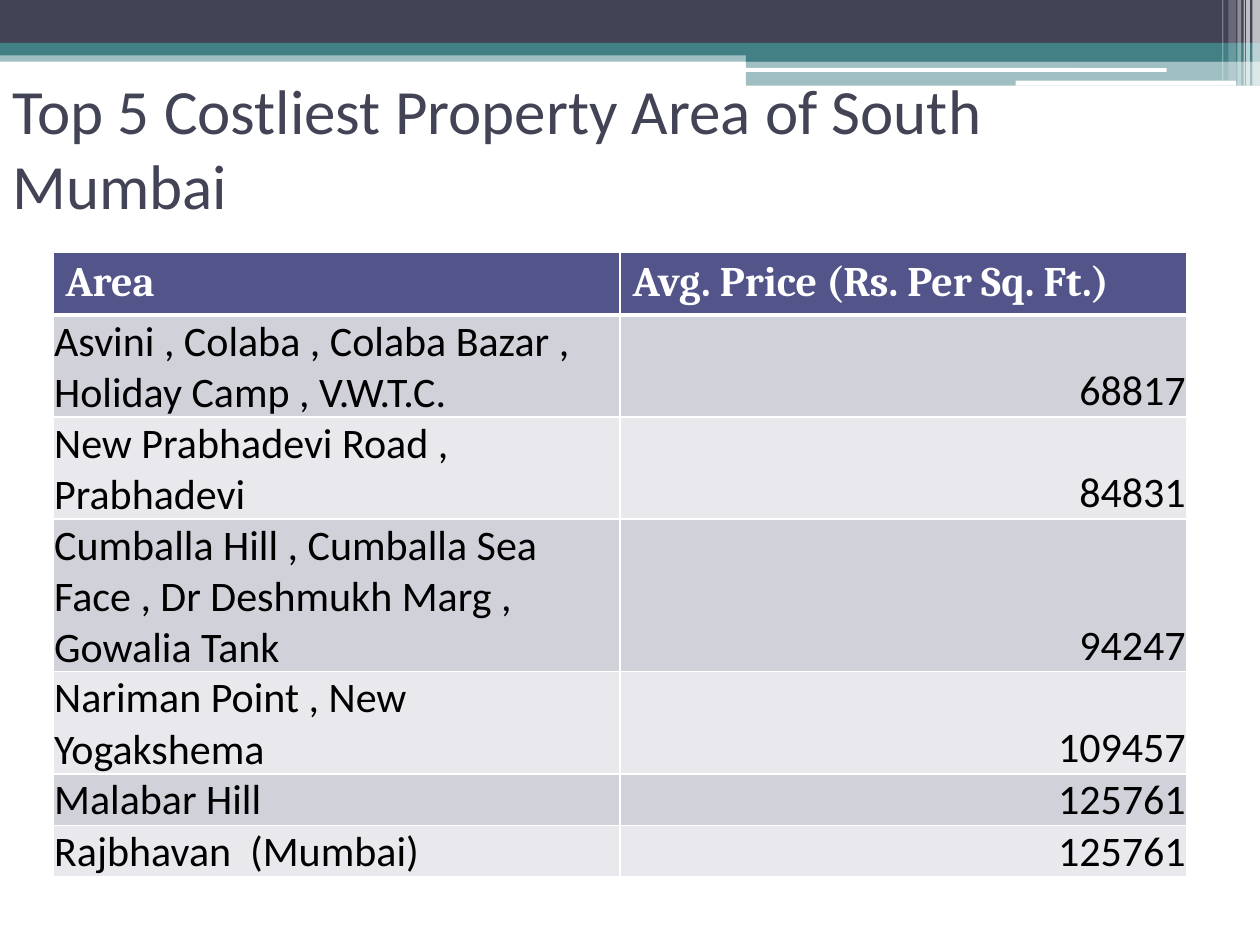
from lxml import etree
from pptx import Presentation
from pptx.dml.color import RGBColor
from pptx.enum.shapes import MSO_SHAPE
from pptx.enum.text import MSO_ANCHOR, PP_ALIGN
from pptx.oxml.ns import qn
from pptx.util import Inches, Pt

RECT, ROUND = MSO_SHAPE.RECTANGLE, MSO_SHAPE.ROUNDED_RECTANGLE
LEFT, RIGHT = PP_ALIGN.LEFT, PP_ALIGN.RIGHT
TOP, MIDDLE, BOTTOM = MSO_ANCHOR.TOP, MSO_ANCHOR.MIDDLE, MSO_ANCHOR.BOTTOM

W, H = 10, 7.5
THEME = {
    "navy": "424456", "teal": "438086", "white": "FFFFFF", "black": "000000",
    "header": "53548A", "bands": ("D1D1DA", "E9E9ED"),
    "body_font": "Calibri", "header_font": "Cambria",
    "title_size": 36, "table_size": 24, "rule": 1, "header_rule": 3,
}

TITLE = "Top 5 Costliest Property Area of South Mumbai"
HEADER = ("Area", "Avg. Price (Rs. Per Sq. Ft.) ")
PRICES = [
    ("Asvini , Colaba , Colaba Bazar , Holiday Camp , V.W.T.C. ", 68817),
    ("New Prabhadevi Road , Prabhadevi ", 84831),
    ("Cumballa Hill , Cumballa Sea Face , Dr Deshmukh Marg , Gowalia Tank ", 94247),
    ("Nariman Point , New Yogakshema ", 109457),
    ("Malabar Hill ", 125761),
    ("Rajbhavan  (Mumbai)", 125761),
]

# Banner bands: shape, left, top, right, height, colour, opacity %
BANDS = [
    (RECT, 0, 0.4, W, 0.09, "teal", 50),
    (RECT, 0, 0, W, 0.34, "navy", 100),
    (RECT, 0, 0.34, W, 0.1, "teal", 100),
    (RECT, 5.92, 0.39, W, 0.1, "teal", 100),
    (RECT, 5.92, 0.48, W, 0.2, "teal", 50),
    (ROUND, 5.91, 0.54, 9.26, 0.03, "white", 100),
    (ROUND, 8.06, 0.64, 9.81, 0.04, "white", 100),
]
# Vertical stripes at the right end: left, width, height, opacity %
STRIPES = [
    (9.94, 0.06, 0.68, 65), (9.89, 0.03, 0.68, 65), (9.87, 0.01, 0.68, 60),
    (9.82, 0.03, 0.68, 40), (9.75, 0.06, 0.64, 20), (9.7, 0.01, 0.64, 30),
]
TITLE_BOX = (0, 0.58, 0.9 * W, 1.17)
TABLE_LEFT, TABLE_TOP, TABLE_WIDTH, ROW_HEIGHT = 0.42, 2, 0.9 * W, 0.41


def rgb(name):
    """Return a theme colour, or a hex value, as an RGBColor."""
    return RGBColor.from_string(THEME.get(name, name))


def set_all(obj, values):
    """Set each attribute named in a dict."""
    for name, value in values.items():
        setattr(obj, name, value)


def add_bar(slide, kind, left, top, width, height, color, opacity):
    """Draw one borderless bar of the banner."""
    sp = slide.shapes.add_shape(kind, *map(Inches, (left, top, width, height)))
    sp.shadow.inherit = False
    sp.line.fill.background()
    sp.fill.solid()
    sp.fill.fore_color.rgb = rgb(color)
    if opacity < 100:
        clr = sp.fill._xPr.find(qn("a:solidFill"))[0]
        etree.SubElement(clr, qn("a:alpha"), val=str(opacity * 1000))


def write(tf, text, color, font, align=LEFT):
    """Put one formatted run into a text frame."""
    p = tf.paragraphs[0]
    p.alignment = align
    r = p.add_run()
    r.text = text
    set_all(r.font, font)
    r.font.color.rgb = rgb(color)


def set_borders(cell, widths):
    """Give a cell white borders; widths are points in left, right, top, bottom order."""
    tc_pr = cell._tc.get_or_add_tcPr()
    for i, (side, width) in enumerate(zip("LRTB", widths)):
        ln = etree.Element(qn(f"a:ln{side}"), w=str(Pt(width)))
        fill = etree.SubElement(ln, qn("a:solidFill"))
        etree.SubElement(fill, qn("a:srgbClr"), val=THEME["white"])
        tc_pr.insert(i, ln)


def add_price_table(slide):
    """Build the area and price table."""
    rows = [HEADER, *PRICES]
    table = slide.shapes.add_table(
        len(rows), len(HEADER), Inches(TABLE_LEFT), Inches(TABLE_TOP),
        Inches(TABLE_WIDTH), Inches(ROW_HEIGHT * len(rows))).table
    thin, thick = THEME["rule"], THEME["header_rule"]
    tight = dict(margin_left=Inches(0.01), margin_right=Inches(0.01),
                 margin_top=Inches(0.01), margin_bottom=0)
    for i, row in enumerate(rows):
        head = i == 0
        font = {"name": THEME["header_font" if head else "body_font"],
                "size": Pt(THEME["table_size"]), "bold": head}
        for j, value in enumerate(row):
            cell = table.cell(i, j)
            cell.fill.solid()
            cell.fill.fore_color.rgb = rgb("header" if head else THEME["bands"][(i - 1) % 2])
            set_all(cell, {"vertical_anchor": TOP} if head
                    else {"vertical_anchor": BOTTOM, **tight})
            set_borders(cell, (thin, thin, thick if i == 1 else thin, thick if head else thin))
            write(cell.text_frame, str(value), "white" if head else "black", font,
                  RIGHT if j and not head else LEFT)


def main():
    """Build and save the slide."""
    prs = Presentation()
    prs.slide_width, prs.slide_height = Inches(W), Inches(H)
    slide = prs.slides.add_slide(prs.slide_layouts[6])
    for kind, left, top, right, height, color, opacity in BANDS:
        add_bar(slide, kind, left, top, right - left, height, color, opacity)
    for left, width, height, opacity in STRIPES:
        add_bar(slide, RECT, left, 0, width, height, "white", opacity)
    tf = slide.shapes.add_textbox(*map(Inches, TITLE_BOX)).text_frame
    set_all(tf, {"word_wrap": True, "vertical_anchor": MIDDLE})
    write(tf, TITLE, "navy", {"name": THEME["body_font"], "size": Pt(THEME["title_size"])})
    add_price_table(slide)
    prs.save("out.pptx")


main()
